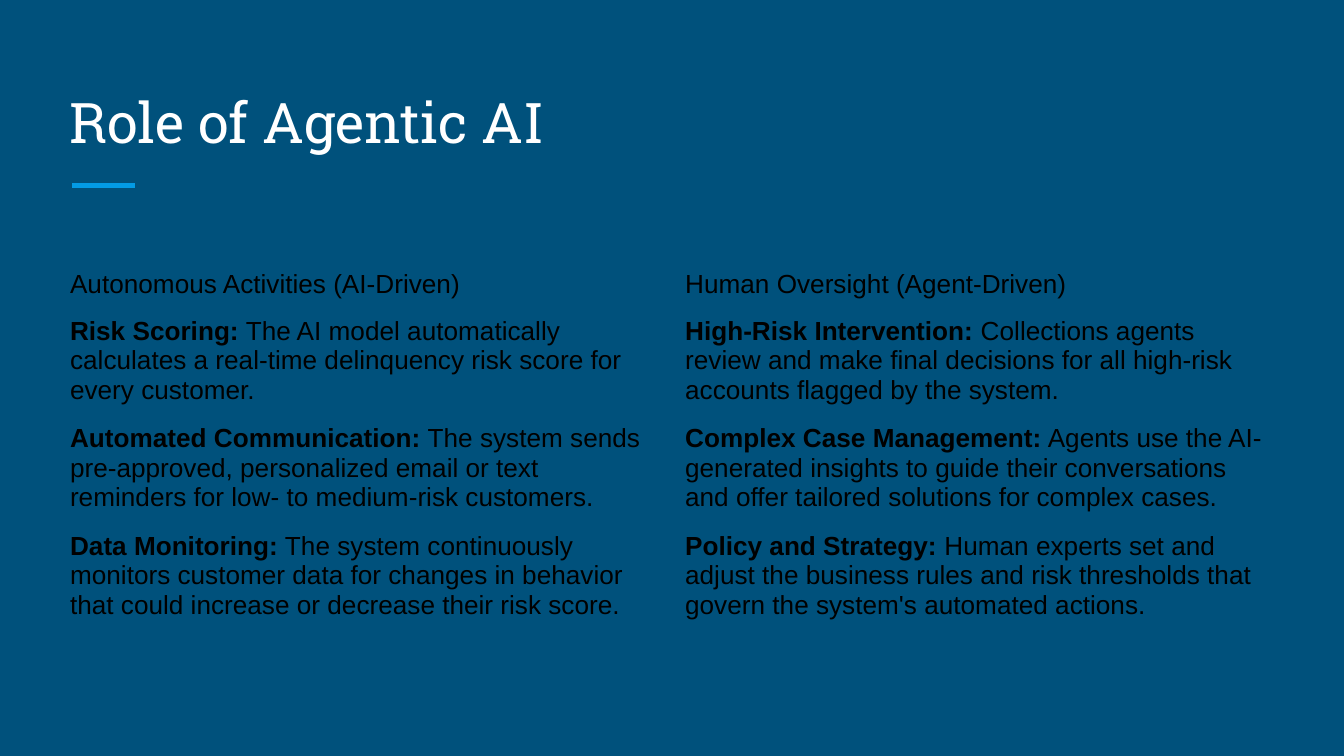
from dataclasses import dataclass

from lxml import etree
from pptx import Presentation
from pptx.dml.color import RGBColor
from pptx.enum.shapes import MSO_CONNECTOR
from pptx.enum.text import MSO_ANCHOR
from pptx.oxml.ns import qn
from pptx.util import Cm, Pt

STRAIGHT = MSO_CONNECTOR.STRAIGHT
BOTTOM, MIDDLE = MSO_ANCHOR.BOTTOM, MSO_ANCHOR.MIDDLE
NO_STYLE_NO_GRID = "{2D5ABB26-0587-4C30-8999-92F81FD0307C}"
BLANK_LAYOUT = 6


@dataclass(frozen=True)
class Theme:
    background: RGBColor = RGBColor(0x00, 0x51, 0x7C)
    accent: RGBColor = RGBColor(0x03, 0x9B, 0xE5)
    title: RGBColor = RGBColor(0xFF, 0xFF, 0xFF)
    body: RGBColor = RGBColor(0x00, 0x00, 0x00)
    title_font: str = "Roboto Slab"
    body_font: str = "Arial"
    title_size: Pt = Pt(30)
    body_size: Pt = Pt(14)
    accent_width: Pt = Pt(3)


THEME = Theme()

HEADINGS = ("Autonomous Activities (AI-Driven)", "Human Oversight (Agent-Driven)")
# Each row: an AI activity and an agent activity, as (label, description)
ACTIVITIES = [
    (("Risk Scoring:", " The AI model automatically calculates a real-time "
      "delinquency risk score for every customer."),
     ("High-Risk Intervention:", " Collections agents review and make final "
      "decisions for all high-risk accounts flagged by the system.")),
    (("Automated Communication:", " The system sends pre-approved, personalized "
      "email or text reminders for low- to medium-risk customers."),
     ("Complex Case Management:", " Agents use the AI-generated insights to guide "
      "their conversations and offer tailored solutions for complex cases.")),
    (("Data Monitoring:", " The system continuously monitors customer data for "
      "changes in behavior that could increase or decrease their risk score."),
     ("Policy and Strategy:", " Human experts set and adjust the business rules "
      "and risk thresholds that govern the system's automated actions.")),
]


def add_run(paragraph, text, font, size, color, bold=False):
    run = paragraph.add_run()
    run.text = text
    run.font.name = font
    run.font.size = size
    run.font.bold = bold
    run.font.color.rgb = color


def add_title(slide, text, left, top, width, height):
    # Short accent rule below the title
    rule_left, rule_y = left + Cm(0.3), top + height + Cm(0.33)
    rule = slide.shapes.add_connector(
        STRAIGHT, rule_left, rule_y, rule_left + Cm(1.18), rule_y)
    rule.line.color.rgb = THEME.accent
    rule.line.width = THEME.accent_width
    etree.SubElement(rule.line._get_or_add_ln().getparent(), qn("a:effectLst"))

    # Title text
    title = slide.shapes.add_textbox(left, top, width, height).text_frame
    title.word_wrap = True
    title.vertical_anchor = BOTTOM
    title.margin_left = title.margin_right = Cm(0.25)
    title.margin_top = title.margin_bottom = Cm(0.25)
    add_run(title.paragraphs[0], text, THEME.title_font, THEME.title_size,
            THEME.title)


def add_roles(slide, left, top, width, heading_height, activity_height):
    rows = [[(("", heading)) for heading in HEADINGS], *ACTIVITIES]
    heights = [heading_height] + [activity_height] * len(ACTIVITIES)
    frame = slide.shapes.add_table(
        len(rows), len(HEADINGS), left, top, width, sum(heights))
    roles = frame.table

    # Plain table without bands or grid
    roles.first_row = roles.horz_banding = False
    roles._tbl.tblPr.find(qn("a:tableStyleId")).text = NO_STYLE_NO_GRID

    for r, (entries, height) in enumerate(zip(rows, heights)):
        roles.rows[r].height = height
        for c, (label, description) in enumerate(entries):
            cell = roles.cell(r, c)
            cell.fill.background()
            cell.vertical_anchor = MIDDLE
            paragraph = cell.text_frame.paragraphs[0]
            for text, bold in ((label, True), (description, False)):
                if text:
                    add_run(paragraph, text, THEME.body_font, THEME.body_size,
                            THEME.body, bold)


def main():
    deck = Presentation()
    deck.slide_width, deck.slide_height = Cm(25.4), Cm(14.29)
    slide = deck.slides.add_slide(deck.slide_layouts[BLANK_LAYOUT])
    slide.background.fill.solid()
    slide.background.fill.fore_color.rgb = THEME.background

    left, width = Cm(1.07), Cm(23.25)
    add_title(slide, "Role of Agentic AI", left, Cm(1.27), width, Cm(1.91))
    add_roles(slide, left, Cm(4.95), width, Cm(0.8), Cm(1.92))
    deck.save("out.pptx")


if __name__ == "__main__":
    main()
